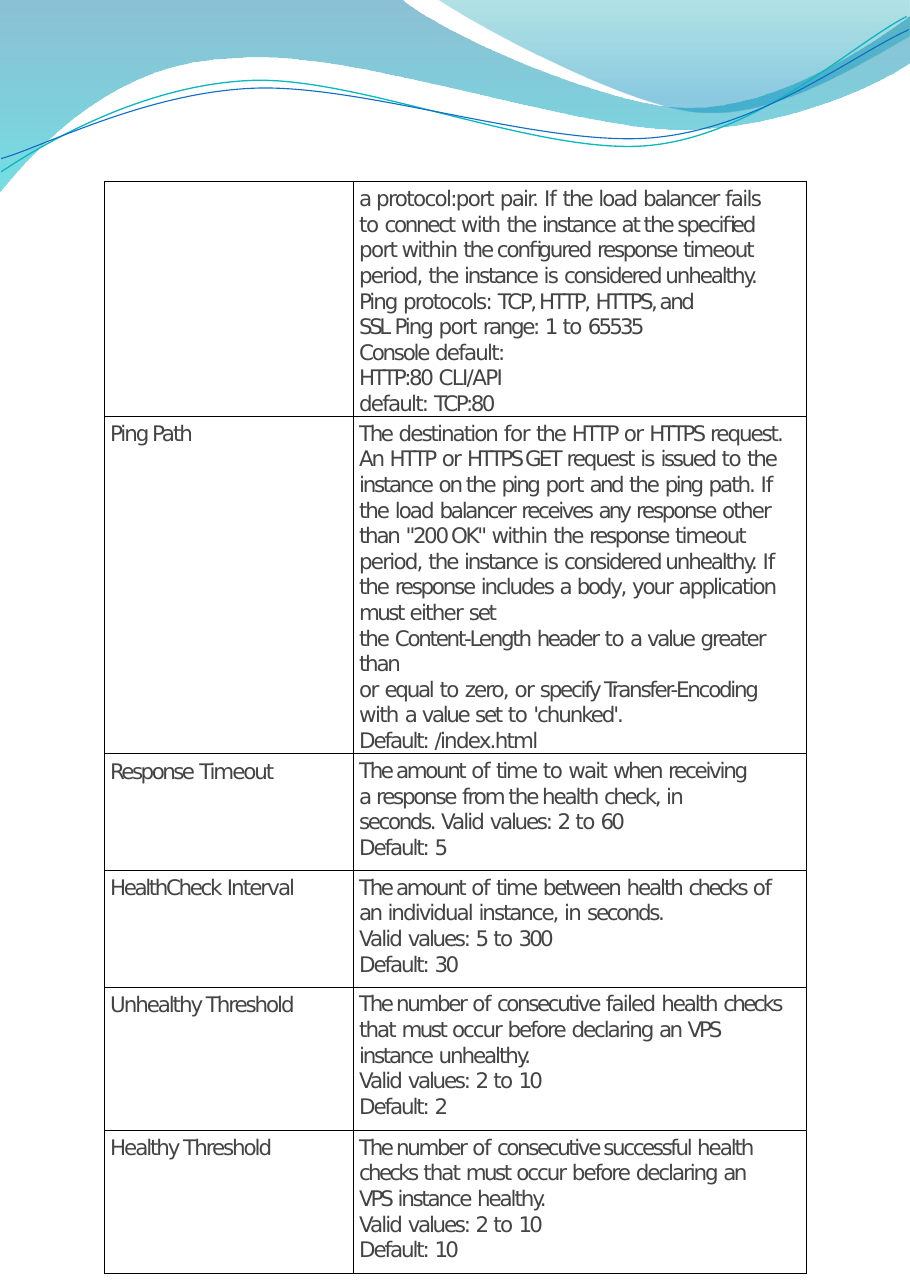
"""Build a health check settings page with a wave header."""
import itertools
from dataclasses import dataclass

import pptx
import pptx.dml.color
import pptx.enum.text
import pptx.oxml
import pptx.oxml.ns
import pptx.util
from lxml import etree

Inches = pptx.util.Inches
Pt = pptx.util.Pt
qn = pptx.oxml.ns.qn


@dataclass(frozen=True)
class Theme:
    """Colours, type sizes and line widths."""
    font: str = "DejaVu Sans"
    size: float = 14
    text: str = "444444"
    paper: str = "FFFFFF"
    border: str = "000000"
    border_width: float = 0.5
    teal_line: str = "0AB8BF"
    blue_line: str = "0F6FC6"
    left_wave: tuple = ((0, "0074A1", 45), (1, "00C6CF", 55))
    right_wave: tuple = ((0, "00A1A9", 30), (0.8, "008BBF", 45))


THEME = Theme()

LEFT_WAVE = [
    [(0, -0.01)], [(3.64, -0.01)],
    [(3.93, 0.26), (5.48, 0.98), (6.27, 0.98)],
    [(7.05, 0.98), (7.92, 0.4), (8.26, 0.14)], [(8.27, 0.56)],
    [(8.13, 0.68), (7.19, 1.18), (6.16, 1.18)],
    [(5.14, 1.17), (3.15, 0.43), (2.13, 0.53)],
    [(1.07, 0.55), (0.38, 1.29), (-0.01, 1.76)]]
RIGHT_WAVE = [
    [(3.96, -0.01)], [(4.21, 0.17), (5.64, 0.96), (6.35, 1.02)],
    [(7.07, 1.08), (7.95, 0.5), (8.26, 0.33)], [(8.26, 0)]]
TEAL_CURVE = [
    [(0.01, 1.56)], [(0.4, 1.3), (1.3, 0.77), (2.28, 0.73)],
    [(3.26, 0.69), (4.91, 1.42), (5.9, 1.32)],
    [(6.89, 1.22), (7.75, 0.39), (8.23, 0.15)]]
BLUE_CURVE = [
    [(0.01, 1.44)], [(0.4, 1.33), (1.35, 0.83), (2.33, 0.8)],
    [(3.32, 0.77), (4.95, 1.34), (5.93, 1.25)],
    [(6.92, 1.16), (7.77, 0.48), (8.25, 0.27)]]

COLUMN_WIDTHS = (2.26, 4.11)
SETTINGS = [
    (2.01, "", [
        ("a protocol:port pair. If the load balancer fails to connect with the "
         "instance at the specified port within the configured response timeout "
         "period, the instance is considered unhealthy.", 0.33),
        ("Ping protocols: TCP, HTTP, HTTPS, and SSL Ping port range: 1 to 65535", 0.87),
        ("Console default: HTTP:80 CLI/API default: TCP:80", 2.5)]),
    (2.72, "Ping Path", [
        ("The destination for the HTTP or HTTPS request. An HTTP or HTTPS GET "
         "request is issued to the instance on the ping port and the ping path. "
         "If the load balancer receives any response other than \"200 OK\" within "
         "the response timeout period, the instance is considered unhealthy. If "
         "the response includes a body, your application must either set", 0.15),
        ("the Content-Length header to a value greater than", 0.15),
        ("or equal to zero, or specify Transfer-Encoding with a value set to "
         "'chunked'.", 0.28),
        ("Default: /index.html", 0)]),
    (1.06, "Response Timeout", [
        ("The amount of time to wait when receiving a response from the health "
         "check, in seconds. Valid values: 2 to 60", 0.45),
        ("Default: 5", 0)]),
    (1.06, "HealthCheck Interval", [
        ("The amount of time between health checks of an individual instance, "
         "in seconds.", 0.19),
        ("Valid values: 5 to 300", 0), ("Default: 30", 0)]),
    (1.3, "Unhealthy Threshold", [
        ("The number of consecutive failed health checks that must occur before "
         "declaring an VPS instance unhealthy.", 0.16),
        ("Valid values: 2 to 10", 0), ("Default: 2", 0)]),
    (1.3, "Healthy Threshold", [
        ("The number of consecutive successful health checks that must occur "
         "before declaring an VPS instance healthy.", 0.37),
        ("Valid values: 2 to 10", 0), ("Default: 10", 0)]),
]

WORDS_BY_TRACKING = {
    -2.3: "SSL",
    -2.1: "VPS",
    -1.9: "a any HTTPS GET 10 60 300 65535",
    -1.8: "checks 1 2 5 30",
    -1.7: "HTTPS, and must an TCP:80 Response",
    -1.6: "The TCP, HTTP, HTTP HTTP:80 range: issued ping receives \"200 OK\" header "
          "value amount when check, seconds. HealthCheck number consecutive successful",
    -1.5: "balancer connect instance response Console An than body, set Content-Length "
          "equal specify Transfer-Encoding receiving values: between",
    -1.3: "load timeout destination application zero, Valid Interval individual that before",
    -1.2: "pair. is protocols: default: period, other either wait failed /index.html",
    -1.1: "protocol:port fails with port within or in CLI/API",
    -1.0: "to",
    -0.9: "for of",
    -0.7: "If",
}
TRACKING = {word: value for value, words in WORDS_BY_TRACKING.items()
            for word in words.split()}


def rgb(value):
    """Turn a hex string into a colour."""
    return pptx.dml.color.RGBColor.from_string(value)


def tracking_of(word):
    """Give the letter spacing of a word in points."""
    return TRACKING.get(word, -1.4)


def add_outline(slide, steps, closed):
    """Draw an outline whose three-point steps are cubic curves."""
    points = [(Inches(x), Inches(y)) for step in steps for x, y in step]
    builder = slide.shapes.build_freeform(*points[0], scale=1.0)
    builder.add_line_segments(points[1:], close=closed)
    shape = builder.convert_to_shape()
    shape.shadow.inherit = False
    path = shape.element.find(".//" + qn("a:path"))
    lines = iter(path.findall(qn("a:lnTo")))
    for step in steps[1:]:
        nodes = [next(lines) for _ in step]
        if len(nodes) == 3:
            curve = pptx.oxml.parse_xml(
                f"<a:cubicBezTo {pptx.oxml.ns.nsdecls('a')}/>")
            nodes[0].addprevious(curve)
            for node in nodes:
                curve.append(node[0])
                path.remove(node)
    return shape


def add_wave(slide, steps, stops):
    """Add a wave filled with a transparent vertical gradient."""
    shape = add_outline(slide, steps, True)
    shape.line.fill.background()
    shape.fill.gradient()
    shape.fill.gradient_angle = 270
    for stop, (position, colour, _) in zip(shape.fill.gradient_stops, stops):
        stop.position = position
        stop.color.rgb = rgb(colour)
    for node, (_, _, opacity) in zip(shape.element.iter(qn("a:gs")), stops):
        etree.SubElement(node[0], qn("a:alpha"), val=str(opacity * 1000))


def add_curve(slide, steps, colour, width):
    """Add an open curved line."""
    shape = add_outline(slide, steps, False)
    shape.fill.background()
    shape.line.color.rgb = rgb(colour)
    shape.line.width = Pt(width)


def write_paragraph(para, text, right_margin):
    """Write text in runs that share one letter spacing."""
    properties = para._p.get_or_add_pPr()
    properties.set("marL", str(Inches(0.05)))
    properties.set("marR", str(Inches(right_margin)))
    words = text.split()
    pieces = [(word, word + " ") for word in words[:-1]] + [(words[-1], words[-1])]
    for tracking, group in itertools.groupby(pieces, lambda piece: tracking_of(piece[0])):
        span = para.add_run()
        span.text = "".join(piece for _, piece in group)
        span.font.name = THEME.font
        span.font.size = Pt(THEME.size)
        span.font.color.rgb = rgb(THEME.text)
        span._r.get_or_add_rPr().set("spc", str(round(tracking * 100)))


def style_cell(cell, top_margin):
    """Set the margins, borders and fill of a cell."""
    cell.margin_left = cell.margin_right = cell.margin_bottom = 0
    cell.margin_top = Inches(top_margin)
    cell.vertical_anchor = pptx.enum.text.MSO_ANCHOR.TOP
    properties = cell._tc.get_or_add_tcPr()
    for side in ("lnL", "lnR", "lnT", "lnB"):
        line = etree.SubElement(properties, qn(f"a:{side}"), w=str(Pt(THEME.border_width)))
        fill = etree.SubElement(line, qn("a:solidFill"))
        etree.SubElement(fill, qn("a:srgbClr"), val=THEME.border)
    cell.fill.solid()
    cell.fill.fore_color.rgb = rgb(THEME.paper)


def add_settings_table(slide):
    """Add the table of settings and their descriptions."""
    heights = [height for height, _, _ in SETTINGS]
    table = slide.shapes.add_table(
        len(SETTINGS), len(COLUMN_WIDTHS), Inches(0.95), Inches(1.65),
        Inches(sum(COLUMN_WIDTHS)), Inches(sum(heights))).table
    table.first_row = table.horz_banding = False
    for column, width in zip(table.columns, COLUMN_WIDTHS):
        column.width = Inches(width)
    for row, (height, label, description) in zip(table.rows, SETTINGS):
        row.height = Inches(height)
        name_cell, text_cell = row.cells
        style_cell(name_cell, 0.05)
        style_cell(text_cell, 0.04)
        if label:
            write_paragraph(name_cell.text_frame.paragraphs[0], label, 0)
        frame = text_cell.text_frame
        for index, (text, right_margin) in enumerate(description):
            para = frame.add_paragraph() if index else frame.paragraphs[0]
            para.line_spacing = 1.01 if index else 1.02
            if index:
                para.space_before = Pt(0.2)
            write_paragraph(para, text, right_margin)


def main():
    """Build and save the deck."""
    deck = pptx.Presentation()
    deck.slide_width, deck.slide_height = Inches(8.26), Inches(11.69)
    page = deck.slides.add_slide(deck.slide_layouts[6])
    add_wave(page, LEFT_WAVE, THEME.left_wave)
    add_wave(page, RIGHT_WAVE, THEME.right_wave)
    add_curve(page, TEAL_CURVE, THEME.teal_line, 0.85)
    add_curve(page, BLUE_CURVE, THEME.blue_line, 0.75)
    add_settings_table(page)
    deck.save("out.pptx")


if __name__ == "__main__":
    main()
